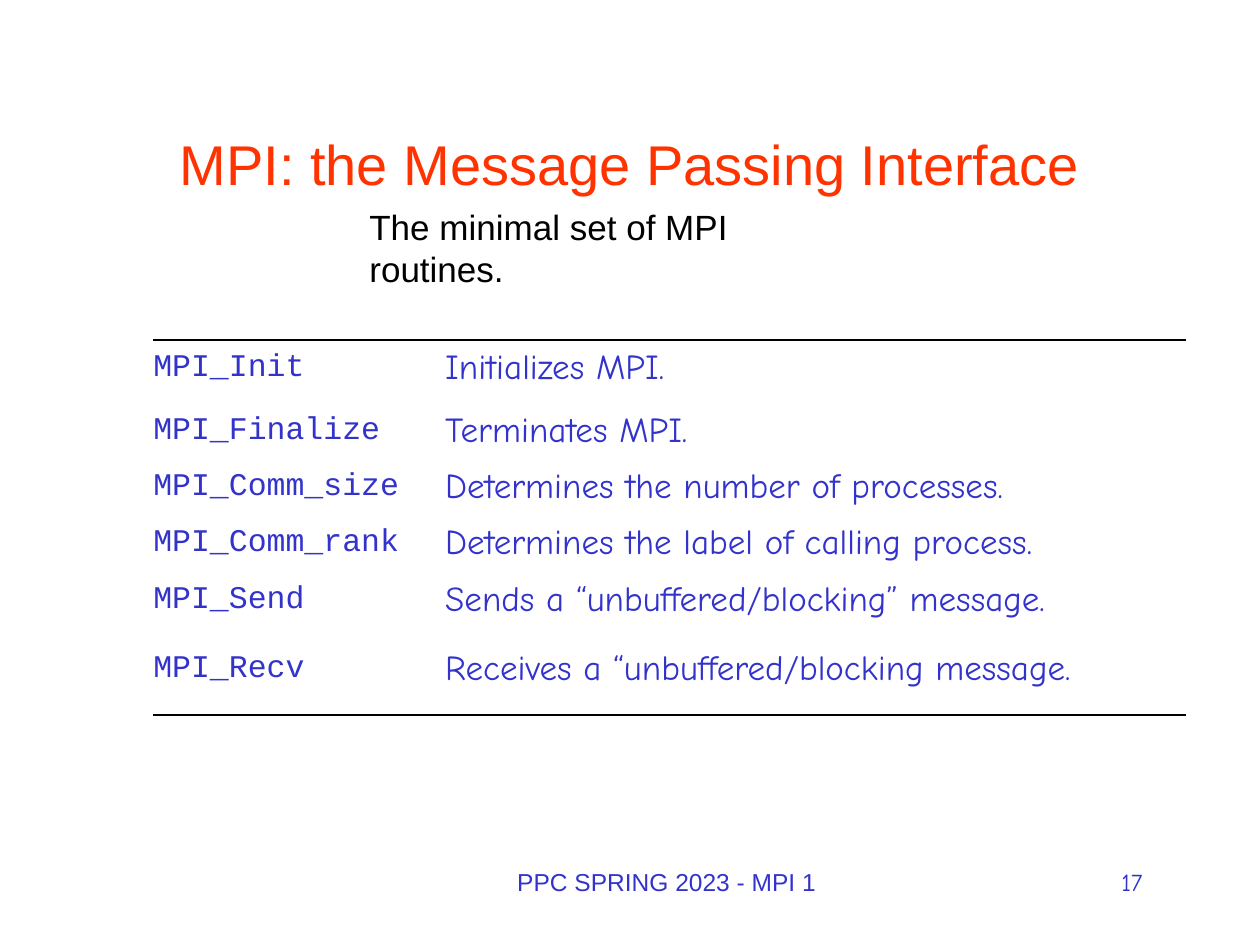
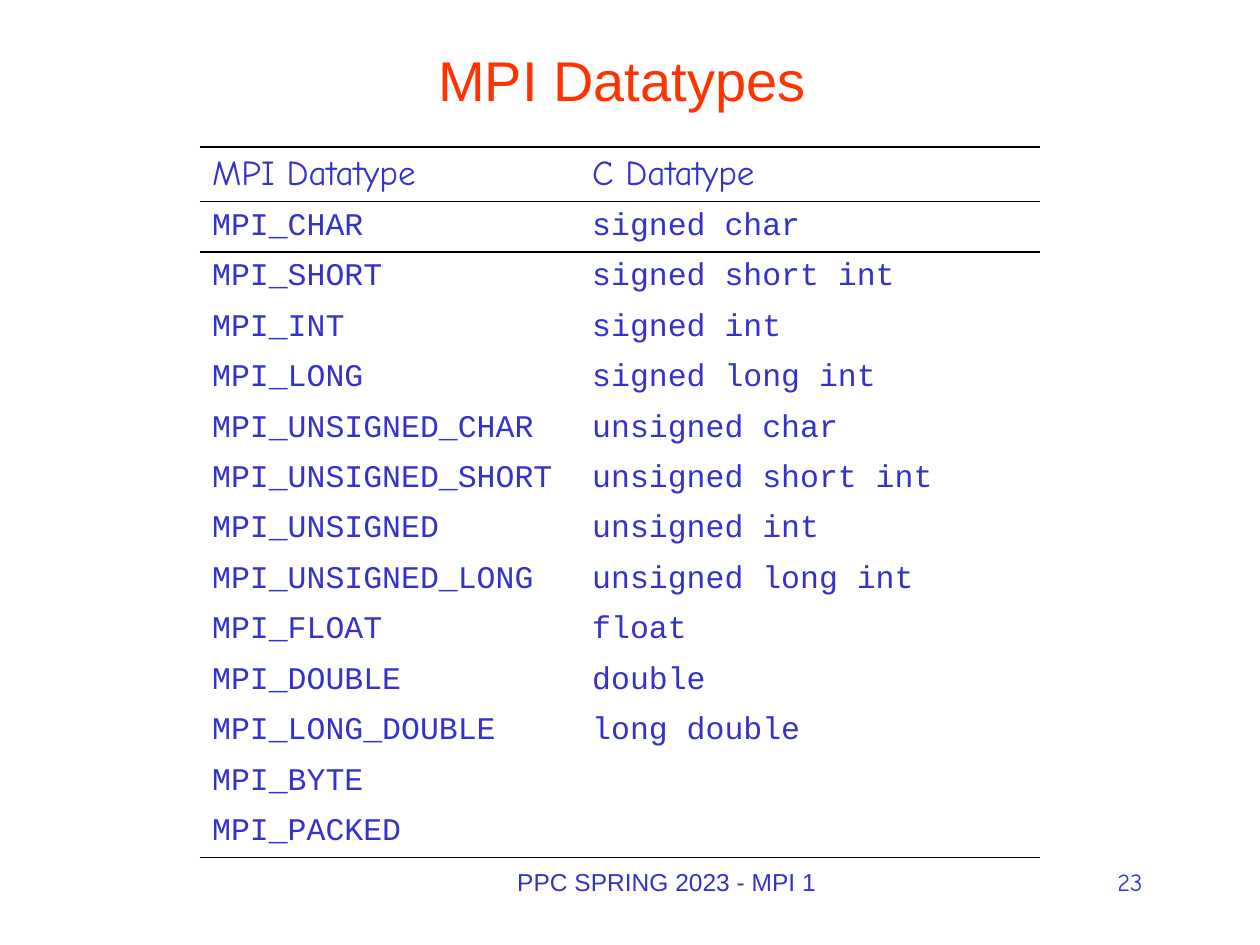
from lxml.etree import SubElement
from pptx import Presentation
from pptx.dml.color import RGBColor
from pptx.enum.text import MSO_ANCHOR as Anchor, MSO_AUTO_SIZE as AutoSize, PP_ALIGN as Align
from pptx.oxml.ns import qn
from pptx.util import Emu, Pt

PX = 7620
NO_STYLE = "{2D5ABB26-0587-4C30-8999-92F81FD0307C}"
FOOTER = "PPC SPRING 2023 - MPI 1"

ROUTINES = [
    ("MPI_Init", "Initializes MPI."),
    ("MPI_Finalize", "Terminates MPI."),
    ("MPI_Comm_size", "Determines the number of processes."),
    ("MPI_Comm_rank", "Determines the label of calling process."),
    ("MPI_Send", "Sends a “unbuffered/blocking” message."),
    ("MPI_Recv", "Receives a “unbuffered/blocking message."),
]

DATATYPES = [
    ("MPI Datatype", "C Datatype"),
    ("MPI_CHAR", "signed char"),
    ("MPI_SHORT", "signed short int"),
    ("MPI_INT", "signed int"),
    ("MPI_LONG", "signed long int"),
    ("MPI_UNSIGNED_CHAR", "unsigned char"),
    ("MPI_UNSIGNED_SHORT", "unsigned short int"),
    ("MPI_UNSIGNED", "unsigned int"),
    ("MPI_UNSIGNED_LONG", "unsigned long int"),
    ("MPI_FLOAT", "float"),
    ("MPI_DOUBLE", "double"),
    ("MPI_LONG_DOUBLE", "long double"),
    ("MPI_BYTE", ""),
    ("MPI_PACKED", ""),
]


def px(length):
    return Emu(length * PX)


def color(value):
    return RGBColor.from_string(value)


def write(frame, text, size=14, font="Arial", fill="3333CC", align=Align.LEFT, hang=0):
    para = frame.paragraphs[0]
    para.alignment = align
    if hang:
        props = para._p.get_or_add_pPr()
        props.set("marL", str(px(hang)))
        props.set("indent", str(px(-hang)))
    span = para.add_run()
    span.text = text
    span.font.size = Pt(size)
    span.font.name = font
    span.font.color.rgb = color(fill)


def rule(cell, side, ink):
    line = SubElement(cell._tc.get_or_add_tcPr(), qn(f"a:ln{side}"), w=str(Pt(1)))
    SubElement(SubElement(line, qn("a:solidFill")), qn("a:srgbClr"), val=ink)


class Deck:
    blue, red, black = "3333CC", "FF3300", "000000"
    sans, hand, mono = "Arial", "Comic Neue", "Courier New"

    def __init__(self):
        self.file = Presentation()
        self.file.slide_width, self.file.slide_height = px(1200), px(900)
        self.page = None

    def add_page(self, title, number, top, height):
        self.page = self.file.slides.add_slide(self.file.slide_layouts[5])
        self.title(title, top, height)
        self.text(FOOTER, 310, 820, 650, 60, align=Align.CENTER)
        self.text(number, 980, 820, 120, 60, font=self.hand, align=Align.RIGHT)

    def title(self, text, top, height):
        box = self.page.shapes.title
        box.left, box.top, box.width, box.height = map(px, (90, top, 1020, height))
        frame = box.text_frame
        frame.auto_size = AutoSize.NONE
        frame.vertical_anchor = Anchor.MIDDLE
        write(frame, text, size=32, fill=self.red, align=Align.CENTER)

    def text(self, text, left, top, width, height, right_inset=12, **style):
        box = self.page.shapes.add_textbox(*map(px, (left, top, width, height)))
        frame = box.text_frame
        frame.word_wrap = True
        frame.margin_right = px(right_inset)
        write(frame, text, **style)

    def table(self, rows, left, top, widths, heights, is_prose, rules, insets):
        box = self.page.shapes.add_table(
            len(rows), len(widths), *map(px, (left, top, sum(widths), sum(heights))))
        for style in box.element.iter(qn("a:tableStyleId")):
            style.text = NO_STYLE
        table = box.table
        table.first_row = table.horz_banding = False
        for column, width in zip(table.columns, widths):
            column.width = px(width)
        for r, (values, height) in enumerate(zip(rows, heights)):
            table.rows[r].height = px(height)
            for c, value in enumerate(values):
                cell = table.cell(r, c)
                cell.margin_left = cell.margin_right = px(insets[0])
                cell.margin_top = cell.margin_bottom = px(insets[1])
                cell.vertical_anchor = Anchor.MIDDLE
                for side, edge in (("T", r), ("B", r + 1)):
                    if edge in rules:
                        rule(cell, side, self.black)
                cell.fill.background()
                size, font = (20, self.hand) if is_prose(r, c) else (18, self.mono)
                write(cell.text_frame, value, size=size, font=font, fill=self.blue, hang=45)


def main():
    deck = Deck()

    deck.add_page("MPI: the Message Passing Interface", "17", 80, 150)
    deck.text("The minimal set of MPI routines.", 340, 190, 502, 52,
              right_inset=36, size=20, fill=deck.black)
    deck.table(ROUTINES, 146, 324, [278, 706], [54, 66, 40, 66, 43, 88],
               is_prose=lambda r, c: c == 1, rules={0, len(ROUTINES)}, insets=(0, 0))

    deck.add_page("MPI Datatypes ", "23", 20, 110)
    deck.table(DATATYPES, 190, 140, [362, 438], [52] + [48] * (len(DATATYPES) - 1),
               is_prose=lambda r, c: r == 0, rules={0, 1, len(DATATYPES)}, insets=(12, 6))

    deck.file.save("out.pptx")


if __name__ == "__main__":
    main()
